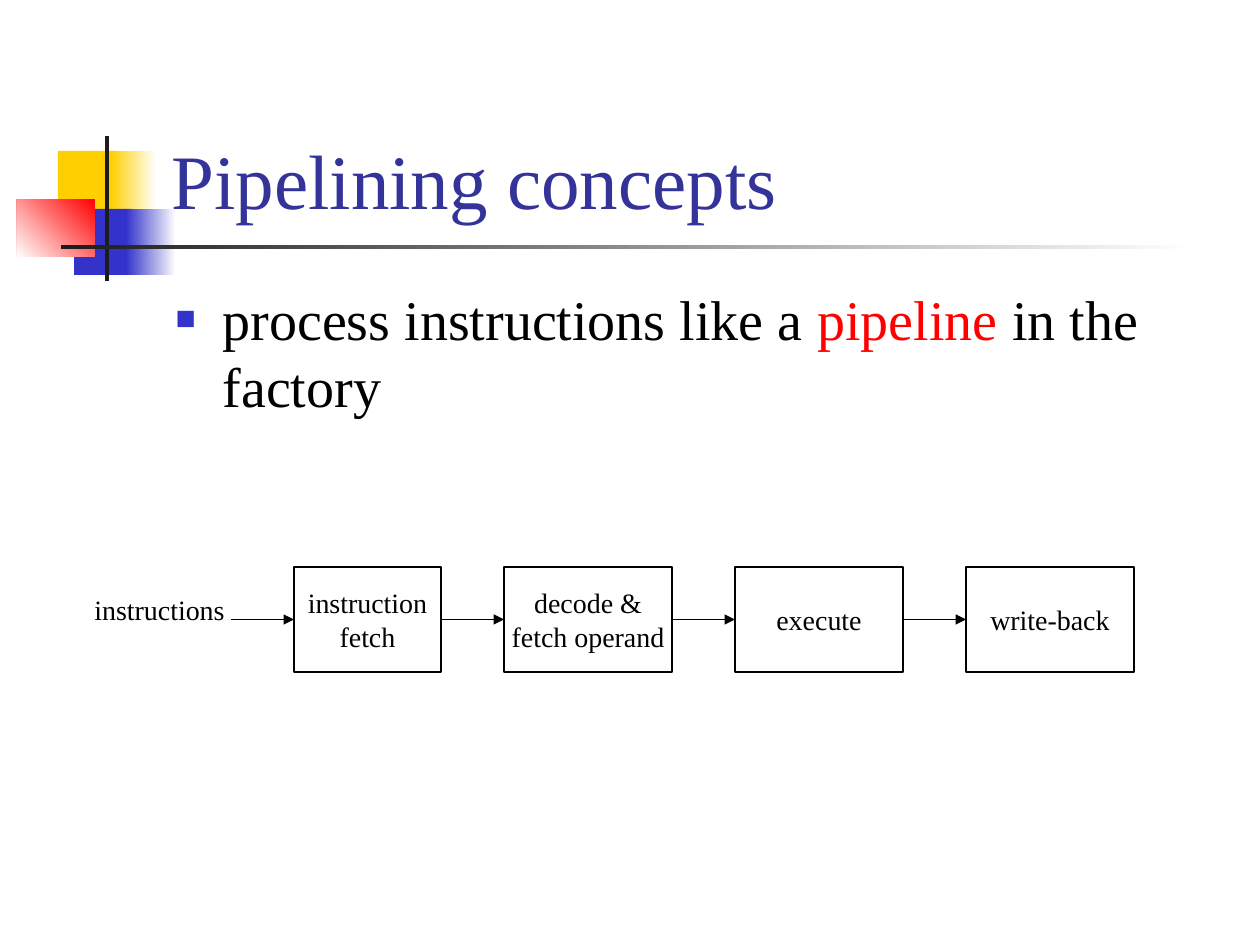
from dataclasses import dataclass

from lxml import etree
from pptx import Presentation
from pptx.dml.color import RGBColor
from pptx.enum.shapes import MSO_CONNECTOR, MSO_SHAPE
from pptx.enum.text import MSO_ANCHOR, MSO_AUTO_SIZE, PP_ALIGN
from pptx.oxml.ns import qn
from pptx.util import Pt

RECT = MSO_SHAPE.RECTANGLE
STRAIGHT = MSO_CONNECTOR.STRAIGHT
LEFT, CENTER = PP_ALIGN.LEFT, PP_ALIGN.CENTER
TOP, MIDDLE, BOTTOM = MSO_ANCHOR.TOP, MSO_ANCHOR.MIDDLE, MSO_ANCHOR.BOTTOM
NO_AUTOFIT = MSO_AUTO_SIZE.NONE
LEFT_SIDE, RIGHT_SIDE = 1, 3


@dataclass(frozen=True)
class Theme:
    font: str = "Times New Roman"
    title_size: int = 44
    body_size: int = 32
    label_size: int = 16
    line_width: float = 0.75
    title: str = "333399"
    text: str = "000000"
    accent: str = "FF0000"
    yellow: str = "FFCF01"
    blue: str = "3333CC"
    dark: str = "1C1C1C"
    white: str = "FFFFFF"


THEME = Theme()

# left, top, width, height, colours, clockwise gradient angle
DECORATIONS = [
    (58, 151, 60, 66, [THEME.yellow], 0),
    (111, 151, 45, 66, [THEME.white, THEME.yellow], 180),
    (74, 209, 58, 66, [THEME.blue], 0),
    (126, 209, 50, 66, [THEME.white, THEME.blue], 180),
    (17, 199, 78, 58, [THEME.accent, THEME.white], 135),
    (105, 136, 4, 145, [THEME.dark], 0),
    (61, 245, 1134, 4, [THEME.white, THEME.dark], 180),
]
STAGES = [
    (["instruction", "fetch"], 147),
    (["decode &", "fetch operand"], 168),
    (["execute"], 168),
    (["write-back"], 168),
]
STAGE_LEFT, STAGE_TOP, STAGE_HEIGHT, STAGE_GAP = 294, 567, 105, 63


def px(n):
    return round(n * 914400 / 126)


def rgb(value):
    return RGBColor.from_string(value)


def write(sp, paragraphs, size, color=THEME.text, align=LEFT, anchor=TOP, wrap=True):
    """Fill a shape with paragraphs, each a list of (text, colour or None) runs."""
    tf = sp.text_frame
    tf.auto_size, tf.word_wrap, tf.vertical_anchor = NO_AUTOFIT, wrap, anchor
    for i, runs in enumerate(paragraphs):
        p = tf.add_paragraph() if i else tf.paragraphs[0]
        p.alignment = align
        for text, run_color in runs:
            r = p.add_run()
            r.text = text
            r.font.name, r.font.size = THEME.font, Pt(size)
            r.font.color.rgb = rgb(run_color or color)
    return tf


def place(sp, left, top, width, height):
    sp.left, sp.top, sp.width, sp.height = map(px, (left, top, width, height))


def add_rect(slide, left, top, width, height):
    sp = slide.shapes.add_shape(RECT, *map(px, (left, top, width, height)))
    sp.shadow.inherit = False
    return sp


def add_decoration(slide, left, top, width, height, colors, angle):
    sp = add_rect(slide, left, top, width, height)
    sp.line.fill.background()
    if len(colors) == 1:
        sp.fill.solid()
        sp.fill.fore_color.rgb = rgb(colors[0])
        return
    sp.fill.gradient()
    sp.fill.gradient_angle = 360 - angle
    for stop, color in zip(sp.fill.gradient_stops, colors):
        stop.color.rgb = rgb(color)


def add_bullet(p, char, color, percent, indent):
    pPr = p._p.get_or_add_pPr()
    pPr.set("marL", str(px(indent)))
    pPr.set("indent", str(-px(indent)))
    clr = etree.SubElement(pPr, qn("a:buClr"))
    etree.SubElement(clr, qn("a:srgbClr"), val=color)
    etree.SubElement(pPr, qn("a:buSzPct"), val=str(percent * 1000))
    etree.SubElement(pPr, qn("a:buFont"), typeface=THEME.font)
    etree.SubElement(pPr, qn("a:buChar"), char=char)


def add_stage(slide, left, width, lines):
    sp = add_rect(slide, left, STAGE_TOP, width, STAGE_HEIGHT)
    sp.fill.background()
    sp.line.color.rgb = rgb(THEME.text)
    sp.line.width = Pt(THEME.line_width)
    write(sp, [[(line, None)] for line in lines], THEME.label_size,
          align=CENTER, anchor=MIDDLE, wrap=False)
    return sp


def add_arrow(slide, source, target):
    """Point at the target's left side, from the source or from one gap before it."""
    y = target.top + target.height // 2
    line = slide.shapes.add_connector(
        STRAIGHT, target.left - px(STAGE_GAP), y, target.left, y)
    if source is not None:
        line.begin_connect(source, RIGHT_SIDE)
    line.end_connect(target, LEFT_SIDE)
    line.line.color.rgb = rgb(THEME.text)
    line.line.width = Pt(THEME.line_width)
    etree.SubElement(line.line._get_or_add_ln(), qn("a:tailEnd"), type="triangle")
    etree.SubElement(line._element.spPr, qn("a:effectLst"))


def add_pipeline(slide):
    left, stages = STAGE_LEFT, []
    for lines, width in STAGES:
        stages.append(add_stage(slide, left, width, lines))
        left += width + STAGE_GAP
    for source, target in zip([None] + stages, stages):
        add_arrow(slide, source, target)
    label = slide.shapes.add_textbox(*map(px, (82, 586, 155, 47)))
    write(label, [[("instructions", None)]], THEME.label_size, wrap=False)


def main():
    prs = Presentation()
    prs.slide_width, prs.slide_height = px(1260), px(945)
    slide = prs.slides.add_slide(prs.slide_layouts[1])
    for decoration in DECORATIONS:
        add_decoration(slide, *decoration)

    title, body = slide.placeholders
    place(title, 159, 29, 1074, 202)
    write(title, [[("Pipelining concepts", None)]], THEME.title_size,
          color=THEME.title, anchor=BOTTOM)
    place(body, 163, 278, 1071, 152)
    tf = write(body, [[("process instructions like a ", None),
                       ("pipeline", THEME.accent),
                       (" in the factory", None)]], THEME.body_size)
    p = tf.paragraphs[0]
    p.space_before = Pt(8)
    add_bullet(p, "■", THEME.blue, percent=60, indent=47)

    add_pipeline(slide)
    prs.save("out.pptx")


if __name__ == "__main__":
    main()
